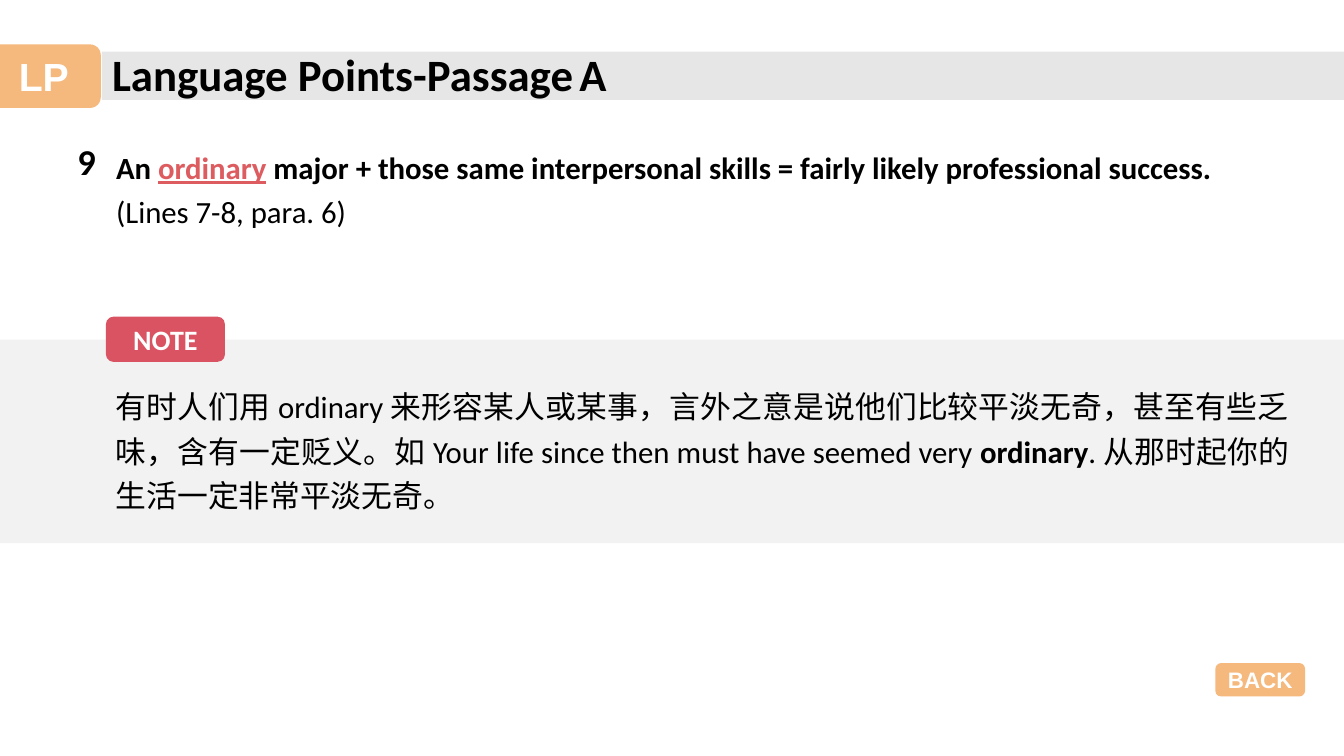
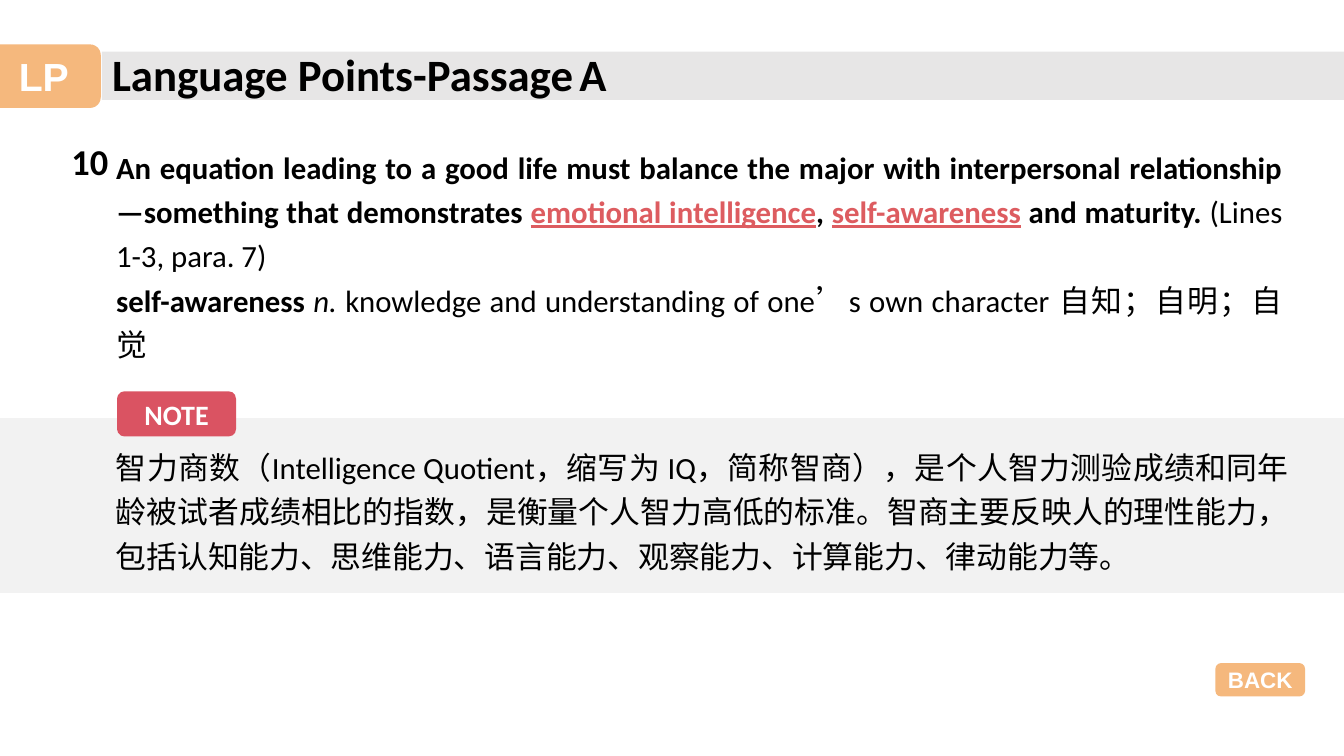
from lxml import etree
from pptx import Presentation
from pptx.dml.color import RGBColor
from pptx.enum import shapes, text
from pptx.oxml import ns
from pptx.util import Cm, Pt

BLACK = RGBColor(0x00, 0x00, 0x00)
WHITE = RGBColor(0xFF, 0xFF, 0xFF)
ORANGE = RGBColor(0xF5, 0xB8, 0x7D)
RED = RGBColor(0xDA, 0x53, 0x62)
KEYWORD = RGBColor(0xDD, 0x5C, 0x60)
TITLE_GREY = RGBColor(0xE7, 0xE6, 0xE6)
NOTE_GREY = RGBColor(0xF2, 0xF2, 0xF2)
CJK = "Noto Sans CJK SC"

PLAIN = {"name": "Calibri", "size": Pt(22), "bold": False}
BOLD = PLAIN | {"bold": True}
ITALIC = PLAIN | {"italic": True}
KEY = BOLD | {"underline": True, "color": KEYWORD}
CHINESE = PLAIN | {"name": CJK}
TITLE = BOLD | {"size": Pt(32)}
TITLE_GAP = PLAIN | {"size": Pt(18)}
NUMBER = BOLD | {"size": Pt(26)}
LABEL = BOLD | {"color": WHITE}

LEFT, CENTER, JUSTIFY = text.PP_ALIGN.LEFT, text.PP_ALIGN.CENTER, text.PP_ALIGN.JUSTIFY
TOP, MIDDLE = text.MSO_ANCHOR.TOP, text.MSO_ANCHOR.MIDDLE
RECT, ROUNDED = shapes.MSO_SHAPE.RECTANGLE, shapes.MSO_SHAPE.ROUNDED_RECTANGLE


def write(frame, paragraphs, align=JUSTIFY, spacing=1.2, anchor=TOP, wrap=True):
    frame.word_wrap = wrap
    frame.auto_size = text.MSO_AUTO_SIZE.NONE
    frame.vertical_anchor = anchor
    for index, pieces in enumerate(paragraphs):
        paragraph = frame.add_paragraph() if index else frame.paragraphs[0]
        layout_values = {"alignment": align, "line_spacing": spacing, "space_before": Pt(0)}
        for key, value in layout_values.items():
            setattr(paragraph, key, value)
        for words, style in pieces:
            run = paragraph.add_run()
            run.text = words
            for key, value in style.items():
                if key != "color":
                    setattr(run.font, key, value)
            run.font.color.rgb = style.get("color", BLACK)
            east_asian = etree.SubElement(run.font._element, ns.qn("a:ea"))
            east_asian.set("typeface", CJK)


def add_block(slide, kind, box, fill, label=None, style=LABEL):
    block = slide.shapes.add_shape(kind, *map(Cm, box))
    block.shadow.inherit = False
    block.fill.solid()
    block.fill.fore_color.rgb = fill
    block.line.fill.background()
    if label:
        write(block.text_frame, [[(label, style)]], CENTER, 1.0, MIDDLE, False)
    return block


points = [
    {
        "number": "9",
        "number_left": 1.7,
        "sentence": [
            [("An ", BOLD), ("ordinary", KEY),
             (" major + those same interpersonal skills = fairly likely professional success.", BOLD)],
            [("(Lines 7-8, para. 6)", PLAIN)],
        ],
        "band": (8.56, 5.13),
        "tag": (2.67, 7.98),
        "note_top": 9.47,
        "note": [
            ("有时人们用 ordinary 来形容某人或某事，言外之意是说他们比较平淡无奇，"
             "甚至有些乏味，含有一定贬义。", PLAIN),
            ("如 ", CHINESE),
            ("Your life since then must have seemed very ", PLAIN),
            ("ordinary", BOLD),
            (". ", PLAIN),
            ("从那时起你的生活一定非常平淡无奇。", CHINESE),
        ],
    },
    {
        "number": "10",
        "number_left": 1.55,
        "sentence": [
            [("An equation leading to a good life must balance the major with interpersonal "
              "relationship —something that demonstrates ", BOLD),
             ("emotional intelligence", KEY), (", ", BOLD), ("self-awareness", KEY),
             (" and maturity. ", BOLD), ("(Lines 1-3, para. 7)", PLAIN)],
            [("self-awareness ", BOLD), ("n. ", ITALIC),
             ("knowledge and understanding of one", PLAIN), ("’", CHINESE),
             ("s own character 自知；自明；自觉", PLAIN)],
        ],
        "band": (10.54, 4.4),
        "tag": (2.95, 9.86),
        "note_top": 11.0,
        "note": [
            ("智力商数（Intelligence Quotient，缩写为 IQ，简称智商），是个人智力测验成绩和"
             "同年龄被试者成绩相比的指数，是衡量个人智力高低的标准。智商主要反映人的理性能力，"
             "包括认知能力、思维能力、语言能力、观察能力、计算能力、律动能力等。", PLAIN),
        ],
    },
]

deck = Presentation()
deck.slide_width, deck.slide_height = Cm(33.87), Cm(19.05)
layout = deck.slide_layouts[1]
placeholder_boxes = [(2.57, 1.04, 20, 1.63), (2.67, 3.43, 29.9, 4.67)]
for holder, box in zip(layout.placeholders, placeholder_boxes):
    for side, length in zip(("left", "top", "width", "height"), box):
        setattr(holder, side, Cm(length))

slides = [deck.slides.add_slide(layout) for point in points]
arial = LABEL | {"name": "Arial"}
shared = [
    (RECT, (2.57, 1.3, 31.3, 1.22), TITLE_GREY),
    (ROUNDED, (-0.33, 1.12, 2.87, 1.6), ORANGE, "LP", arial | {"size": Pt(28)}),
    (ROUNDED, (30.63, 16.71, 2.26, 0.84), ORANGE, "BACK", arial | {"size": Pt(16)}),
]
for part in shared:
    layout.shapes.element.append(add_block(slides[0], *part).element)

for slide, point in zip(slides, points):
    title, sentence = slide.placeholders
    write(title.text_frame,
          [[("Language Points-Passage", TITLE), (" ", TITLE_GAP), ("A", TITLE)]], LEFT, 1.0)
    write(sentence.text_frame, point["sentence"])
    for paragraph in sentence.text_frame.paragraphs:
        properties = paragraph._p.get_or_add_pPr()
        properties.set("marL", "0")
        properties.set("indent", "0")
        etree.SubElement(properties, ns.qn("a:buNone"))

    band_top, band_height = point["band"]
    add_block(slide, RECT, (0, band_top, 33.87, band_height), NOTE_GREY)
    number = slide.shapes.add_textbox(Cm(point["number_left"]), Cm(3.38), Cm(1.6), Cm(1.37))
    write(number.text_frame, [[(point["number"], NUMBER)]], LEFT, 1.0)
    note = slide.shapes.add_textbox(Cm(2.67), Cm(point["note_top"]), Cm(30.07), Cm(3.8))
    write(note.text_frame, [point["note"]])
    add_block(slide, ROUNDED, (*point["tag"], 3, 1.14), RED, "NOTE", LABEL | {"size": Pt(20)})

deck.save("out.pptx")
